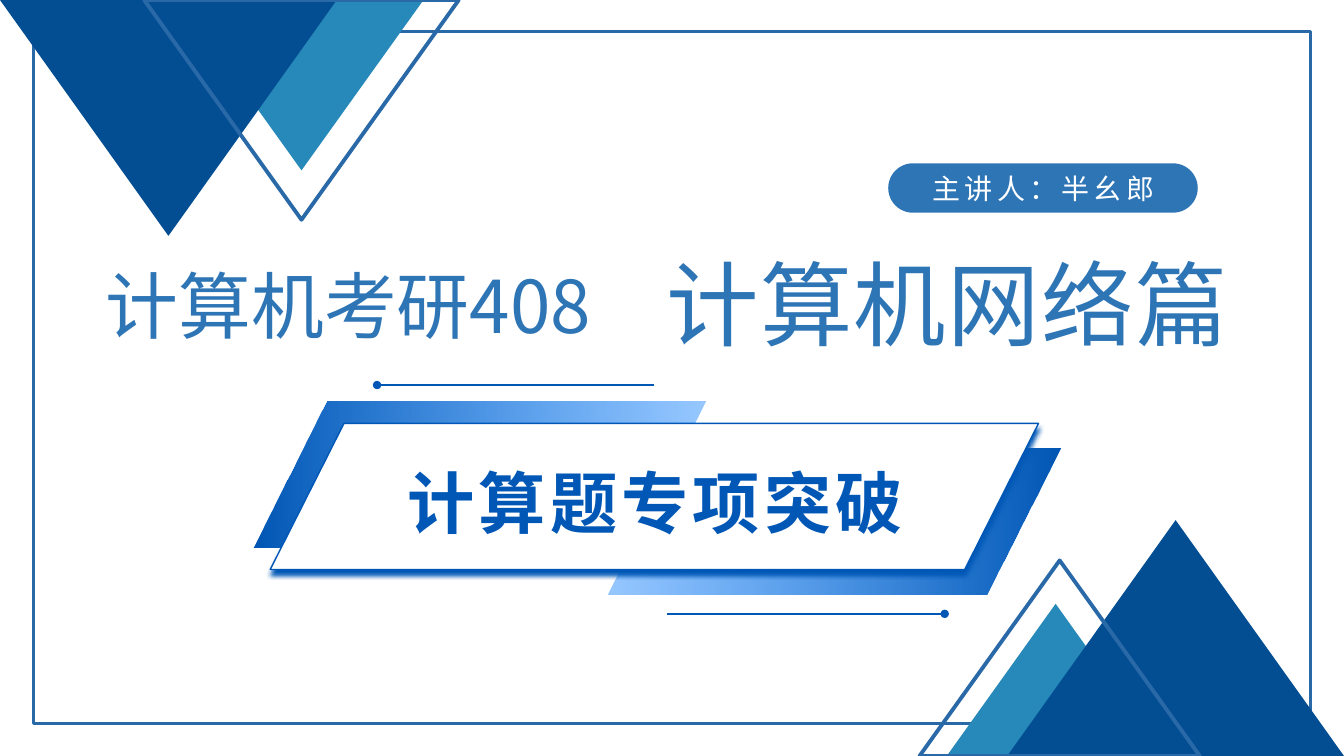
from dataclasses import dataclass
from typing import Optional

from lxml import etree
from pptx import Presentation
from pptx.dml.color import RGBColor
from pptx.enum.shapes import MSO_CONNECTOR, MSO_SHAPE
from pptx.enum.text import MSO_ANCHOR, MSO_AUTO_SIZE, PP_ALIGN
from pptx.oxml import parse_xml
from pptx.oxml.ns import nsdecls, qn
from pptx.util import Inches, Pt

FONT = "Noto Sans CJK SC"
WHITE = RGBColor(0xFF, 0xFF, 0xFF)
NAVY = RGBColor(0x03, 0x4E, 0x92)
TEAL = RGBColor(0x27, 0x89, 0xB9)
OUTLINE = RGBColor(0x2A, 0x69, 0xA8)
TITLE_BLUE = RGBColor(0x2E, 0x75, 0xB6)
DEEP_BLUE = RGBColor(0x00, 0x57, 0xB5)
BRIGHT_BLUE = RGBColor(0x00, 0x79, 0xFE)
SLANT = 0.505


@dataclass
class Box:
    left: float
    top: float
    width: float
    height: float

    def emu(self) -> list:
        return [Inches(v) for v in (self.left, self.top, self.width, self.height)]


@dataclass
class Triangle:
    box: Box
    rotation: int
    fill: Optional[RGBColor] = None


@dataclass
class Label:
    text: str
    box: Box
    size: int
    color: RGBColor
    spacing: int = 0
    bold: bool = False
    line_spacing: object = 1.2
    grow: bool = True


@dataclass
class Rule:
    left: float
    right: float
    y: float
    dot_end: str


TRIANGLES = [
    Triangle(Box(1.78, 0, 2.42, 1.69), 180, TEAL),
    Triangle(Box(0, 0, 3.34, 2.34), 180, NAVY),
    Triangle(Box(1.43, 0, 3.12, 2.18), 180),
    Triangle(Box(9.39, 5.99, 2.16, 1.51), 0, TEAL),
    Triangle(Box(9.99, 5.16, 3.34, 2.34), 0, NAVY),
    Triangle(Box(9.12, 5.56, 2.78, 1.94), 0),
]
LABELS = [
    Label("计算机考研408", Box(0.51, 2.39, 5.89, 1.08), 52, TITLE_BLUE),
    Label("主讲人：半幺郎", Box(9.12, 1.59, 2.46, 0.48), 20, WHITE, spacing=3),
    Label("计算机网络篇", Box(6.31, 2.2, 6.17, 1.38), 66, TITLE_BLUE, spacing=1),
    Label("计算题专项突破", Box(3.34, 4.71, 6.32, 0.79), 48, DEEP_BLUE, spacing=3,
          bold=True, line_spacing=Pt(38.4), grow=False),
]
RULES = [Rule(3.74, 6.49, 3.82, "headEnd"), Rule(6.62, 9.37, 6.09, "tailEnd")]
RIBBONS = [(Box(2.51, 3.98, 4.49, 1.45), 0), (Box(6.03, 4.45, 4.49, 1.45), 180)]


def add_shape(shapes, kind, box: Box, fill: Optional[RGBColor] = None,
              line: Optional[RGBColor] = None, width: float = 1,
              adj: Optional[float] = None):
    sp = shapes.add_shape(kind, *box.emu())
    sp.shadow.inherit = False
    if fill is None:
        sp.fill.background()
    else:
        sp.fill.solid()
        sp.fill.fore_color.rgb = fill
    if line is None:
        sp.line.fill.background()
    else:
        sp.line.color.rgb = line
        sp.line.width = Pt(width)
    if adj is not None:
        sp.adjustments[0] = adj
    return sp


def add_triangle(shapes, tri: Triangle) -> None:
    line = None if tri.fill else OUTLINE
    sp = add_shape(shapes, MSO_SHAPE.ISOSCELES_TRIANGLE, tri.box, tri.fill, line, 2.75)
    sp.rotation = tri.rotation


def add_ribbon(shapes, box: Box, angle: int) -> None:
    """Parallelogram fading from deep blue to a translucent bright blue."""
    sp = add_shape(shapes, MSO_SHAPE.PARALLELOGRAM, box, adj=SLANT)
    sp.fill.gradient()
    sp.fill.gradient_angle = angle
    start, end = sp.fill.gradient_stops
    start.position, start.color.rgb = 0, DEEP_BLUE
    end.position, end.color.rgb = 1, BRIGHT_BLUE
    last_color = sp.element.spPr.findall(".//" + qn("a:srgbClr"))[-1]
    etree.SubElement(last_color, qn("a:alpha"), val="41000")


def add_rule(shapes, rule: Rule) -> None:
    """Thin line with a dot at one end."""
    y = Inches(rule.y)
    cx = shapes.add_connector(MSO_CONNECTOR.STRAIGHT, Inches(rule.left), y,
                              Inches(rule.right), y)
    cx.line.color.rgb = DEEP_BLUE
    cx.line.width = Pt(1)
    etree.SubElement(cx.line._get_or_add_ln(), qn(f"a:{rule.dot_end}"), type="oval")
    etree.SubElement(cx._element.spPr, qn("a:effectLst"))


def add_banner(shapes) -> None:
    sp = add_shape(shapes, MSO_SHAPE.PARALLELOGRAM, Box(2.68, 4.2, 7.62, 1.45),
                   WHITE, DEEP_BLUE, adj=SLANT)
    effects = sp.element.spPr.find(qn("a:effectLst"))
    effects.append(parse_xml(
        f'<a:outerShdw {nsdecls("a")} blurRad="{Pt(4)}" dist="{Pt(3)}" dir="5400000" '
        f'algn="t" rotWithShape="0"><a:srgbClr val="{DEEP_BLUE}"/></a:outerShdw>'))


def add_label(shapes, label: Label) -> None:
    tf = shapes.add_textbox(*label.box.emu()).text_frame
    tf.word_wrap = True
    tf.vertical_anchor = MSO_ANCHOR.MIDDLE
    tf.auto_size = MSO_AUTO_SIZE.SHAPE_TO_FIT_TEXT if label.grow else MSO_AUTO_SIZE.NONE
    p = tf.paragraphs[0]
    p.alignment = PP_ALIGN.CENTER
    p.line_spacing = label.line_spacing
    p.font.size = Pt(label.size)
    p.font.bold = label.bold
    p.font.color.rgb = label.color
    p.font.name = FONT
    r = p.add_run()
    r.text = label.text
    rPr = r._r.get_or_add_rPr()
    rPr.set("lang", "zh-CN")
    rPr.set("spc", str(label.spacing * 100))
    etree.SubElement(rPr, qn("a:ea"), typeface=FONT)


def main() -> None:
    prs = Presentation()
    prs.slide_width, prs.slide_height = Inches(13.33), Inches(7.5)
    shapes = prs.slides.add_slide(prs.slide_layouts[6]).shapes

    add_shape(shapes, MSO_SHAPE.RECTANGLE, Box(0.33, 0.31, 12.67, 6.87),
              line=OUTLINE, width=2)
    for tri in TRIANGLES:
        add_triangle(shapes, tri)
    add_shape(shapes, MSO_SHAPE.ROUNDED_RECTANGLE, Box(8.81, 1.62, 3.07, 0.49),
              TITLE_BLUE, adj=0.5)
    for box, angle in RIBBONS:
        add_ribbon(shapes, box, angle)
    for rule in RULES:
        add_rule(shapes, rule)
    add_banner(shapes)
    for label in LABELS:
        add_label(shapes, label)

    prs.save("out.pptx")


if __name__ == "__main__":
    main()
